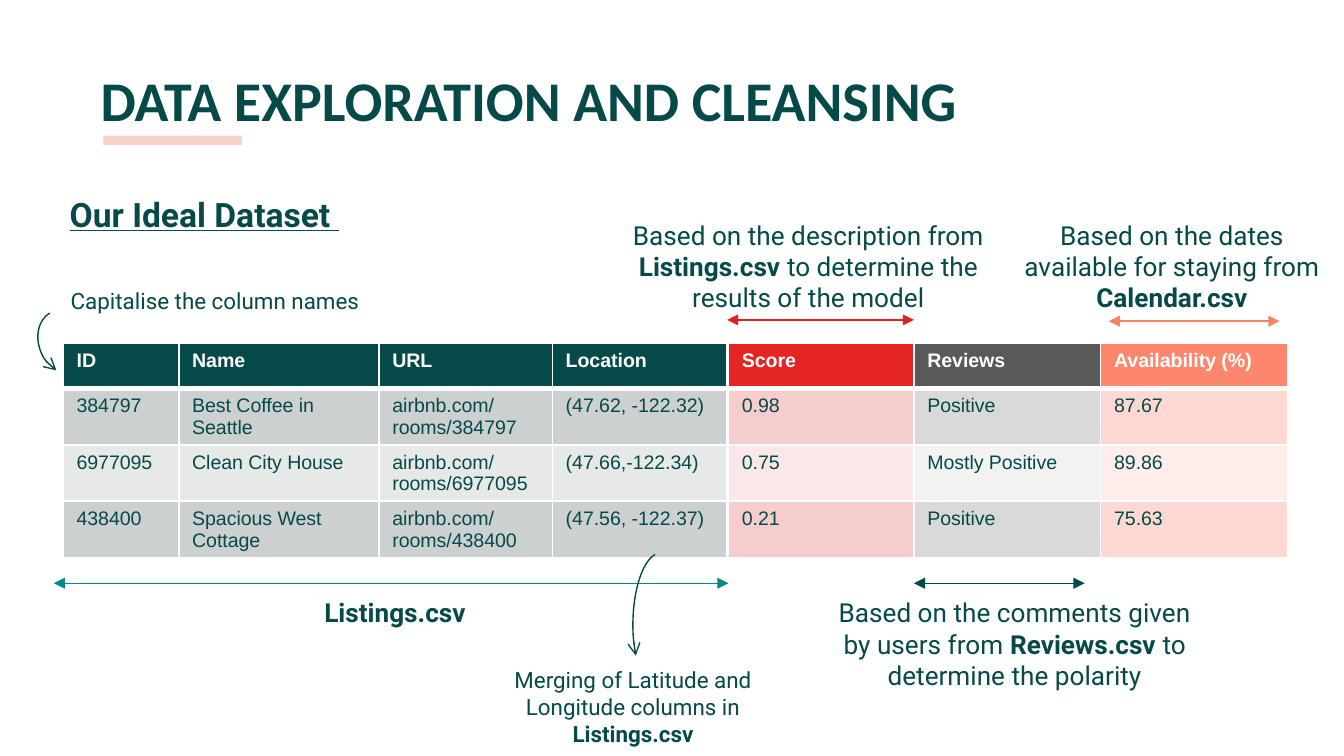
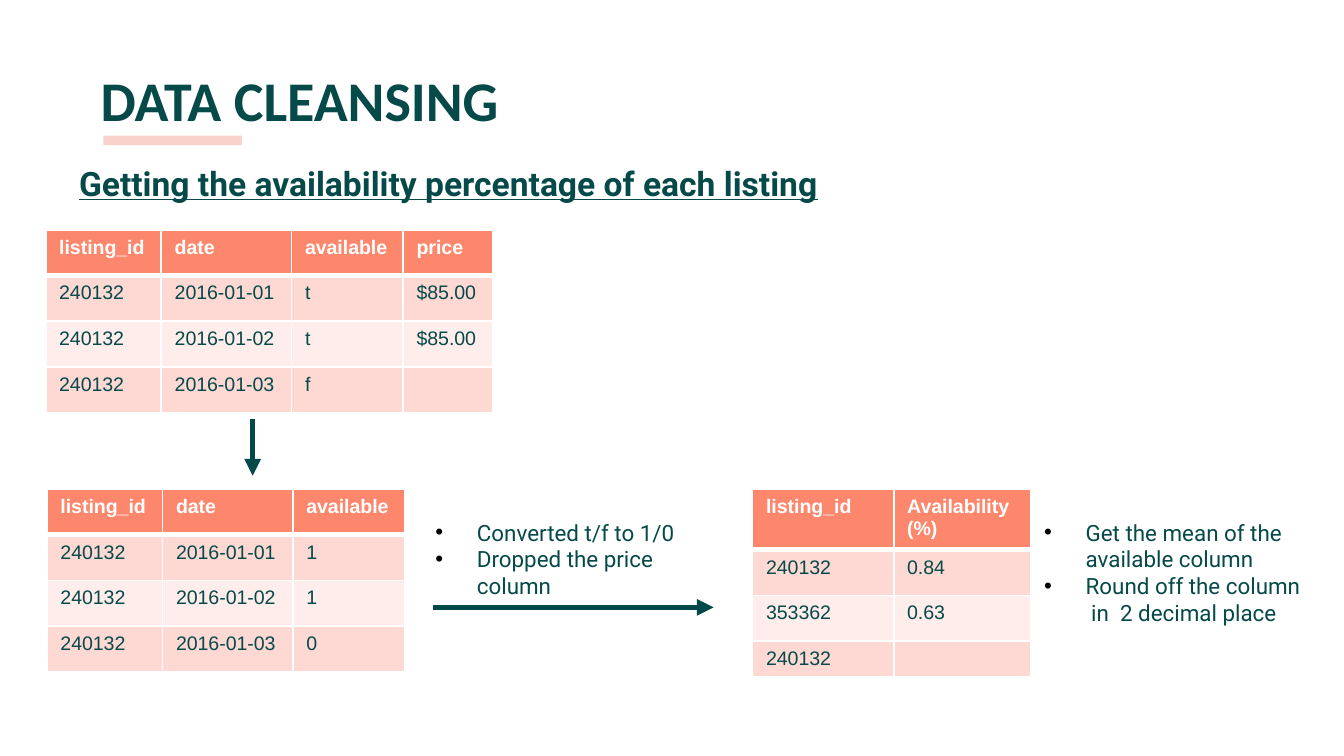
from lxml.etree import SubElement
from pptx import Presentation
from pptx.dml.color import RGBColor
from pptx.enum.shapes import MSO_CONNECTOR as CONN, MSO_SHAPE as SHAPE
from pptx.enum.text import MSO_ANCHOR as ANCHOR, PP_ALIGN as ALIGN
from pptx.oxml.ns import qn
from pptx.util import Inches, Pt

COLORS = {
    "ink": "064949", "line": "044949", "white": "FFFFFF", "black": "000000",
    "teal": "008A87", "red": "E4201F", "coral": "FB8266", "bar": "F4AA9E",
}
# header, odd row and even row fills of a table column
BANDS = {
    "green": ("064949", "CCD0D0", "E7E9E9"),
    "red": ("E42524", "F5CDCD", "FAE8E8"),
    "gray": ("595959", "D9D9D9", "F2F2F2"),
    "coral": ("FD876C", "FED9D4", "FFEDEB"),
}


def rgb(name):
    return RGBColor.from_string(COLORS.get(name, name))


def write(tf, text, size=12, font="Roboto", color="ink", bold=False,
          underline=False, align=ALIGN.LEFT, after=0, bullet=None):
    """Fill a text frame: a string per paragraph, ** switches bold, newline breaks."""
    paragraphs = [text] if isinstance(text, str) else text
    for i, line in enumerate(paragraphs):
        p = tf.paragraphs[0] if i == 0 else tf.add_paragraph()
        p.alignment = align
        p.space_after = Pt(after)
        if bullet:
            add_bullet(p, bullet)
        for j, part in enumerate(line.split("**")):
            for k, piece in enumerate(part.split("\n")):
                if k:
                    p.add_line_break()
                if not piece:
                    continue
                r = p.add_run()
                r.text = piece
                r.font.size, r.font.name = Pt(size), font
                r.font.bold = bold or j % 2 == 1
                r.font.underline = underline
                r.font.color.rgb = rgb(color)
        if not line:
            SubElement(p._p, qn("a:endParaRPr"), sz=str(int(size * 100)))


def add_bullet(p, char):
    pPr = p._p.get_or_add_pPr()
    indent = Inches(0.31)
    pPr.set("marL", str(indent))
    pPr.set("indent", str(-indent))
    clr = SubElement(pPr, qn("a:buClr"))
    SubElement(clr, qn("a:srgbClr"), val=COLORS["black"])
    SubElement(pPr, qn("a:buFont"), typeface="Arial")
    SubElement(pPr, qn("a:buChar"), char=char)


def set_borders(cell, bottom):
    """White borders, 1 pt wide except for the bottom one."""
    tcPr = cell._tc.get_or_add_tcPr()
    for tag, width in (("lnL", 1), ("lnR", 1), ("lnT", 1), ("lnB", bottom)):
        ln = SubElement(tcPr, qn(f"a:{tag}"), w=str(Pt(width)))
        fill = SubElement(ln, qn("a:solidFill"))
        SubElement(fill, qn("a:srgbClr"), val=COLORS["white"])


def set_arrowheads(sp, head=None, tail=None):
    ln = sp.line._get_or_add_ln()
    for tag, kind in (("headEnd", head), ("tailEnd", tail)):
        if kind:
            SubElement(ln, qn(f"a:{tag}"), type=kind)


class Deck:
    def __init__(self):
        self.prs = Presentation()
        self.prs.slide_width = Inches(10)
        self.prs.slide_height = Inches(10) * 9 // 16
        self.shapes = None

    def slide(self, title):
        self.shapes = self.prs.slides.add_slide(self.prs.slide_layouts[6]).shapes
        self.text(0.65, 0.39, 9.32, 0.63, title, size=30, font="Calibri", bold=True)
        sp = self.shapes.add_shape(SHAPE.RECTANGLE, Inches(0.77), Inches(1.01),
                                   Inches(1.03), Inches(0.07))
        sp.shadow.inherit = False
        sp.fill.solid()
        sp.fill.fore_color.rgb = rgb("bar")
        clr = sp.fill._xPr.find(".//" + qn("a:srgbClr"))
        SubElement(clr, qn("a:alpha"), val="52000")
        sp.line.fill.background()

    def text(self, x, y, w, h, text, inset=0.1, **fmt):
        tf = self.shapes.add_textbox(Inches(x), Inches(y), Inches(w), Inches(h)).text_frame
        tf.word_wrap = True
        tf.vertical_anchor = ANCHOR.TOP
        tf.margin_left = tf.margin_right = Inches(0.1)
        tf.margin_top = tf.margin_bottom = Inches(inset)
        write(tf, text, **fmt)

    def heading(self, x, y, w, text):
        self.text(x, y, w, 0.99, text, size=18, bold=True, underline=True, after=1)

    def note(self, x, y, w, h, text, size=14):
        self.text(x, y, w, h, text, size=size, align=ALIGN.CENTER, after=1)

    def bullets(self, x, y, w, h, items):
        self.text(x, y, w, h, items, inset=0.05, bullet="•")

    def table(self, x, y, widths, heights, rows, bands):
        """Draw rows, the first being the header; bands names a palette per column."""
        table = self.shapes.add_table(len(rows), len(widths), Inches(x), Inches(y),
                                      Inches(sum(widths)), Inches(sum(heights))).table
        for column, w in zip(table.columns, widths):
            column.width = Inches(w)
        for i, (row, h) in enumerate(zip(rows, heights)):
            table.rows[i].height = Inches(h)
            header = i == 0
            for j, value in enumerate(row):
                cell = table.cell(i, j)
                cell.margin_left = cell.margin_right = Inches(0.1)
                cell.margin_top, cell.margin_bottom = Inches(0.05), Inches(0.02)
                set_borders(cell, bottom=3 if header else 1)
                fills = BANDS[bands[j]]
                cell.fill.solid()
                cell.fill.fore_color.rgb = rgb(fills[0 if header else 2 - i % 2])
                write(cell.text_frame, value, size=10.5, font="Arial", bold=header,
                      color="white" if header else "ink")

    def arrow(self, x1, y1, x2, y2, color="line", width=0.75, head=None):
        sp = self.shapes.add_connector(CONN.STRAIGHT, Inches(x1), Inches(y1),
                                       Inches(x2), Inches(y2))
        sp.line.color.rgb = rgb(color)
        sp.line.width = Pt(width)
        set_arrowheads(sp, head, "triangle")
        SubElement(sp._element.spPr, qn("a:effectLst"))

    def span(self, x1, x2, y, color):
        self.arrow(x1, y, x2, y, color, head="triangle")

    def curve(self, x, y, w, h, rotation):
        sp = self.shapes.add_shape(SHAPE.ARC, Inches(x), Inches(y), Inches(w), Inches(h))
        sp.shadow.inherit = False
        sp.rotation = rotation
        sp.adjustments[0], sp.adjustments[1] = 131.82, 212.7
        sp.fill.background()
        sp.line.color.rgb = rgb("line")
        sp.line.width = Pt(0.75)
        set_arrowheads(sp, head="arrow")


def exploration(deck):
    deck.slide("DATA EXPLORATION AND CLEANSING")
    deck.heading(0.42, 1.34, 2.62, "Our Ideal Dataset ")

    heights = [0.34] + [0.42] * 3
    deck.table(5.42, 2.55, [1.38], heights,
               [["Score"], ["0.98"], ["0.75"], ["0.21"]], ["red"])
    deck.table(0.47, 2.55, [0.86, 1.49, 1.29, 1.3], heights, [
        ["ID", "Name", "URL", "Location"],
        ["384797", "Best Coffee in Seattle", "airbnb.com/\nrooms/384797", "(47.62, -122.32)"],
        ["6977095", "Clean City House", "airbnb.com/\nrooms/6977095", "(47.66,-122.34)"],
        ["438400", "Spacious West Cottage", "airbnb.com/\nrooms/438400", "(47.56, -122.37)"],
    ], ["green"] * 4)
    deck.table(6.8, 2.55, [1.39, 1.39], heights, [
        ["Reviews", "Availability (%)"],
        ["Positive", "87.67"],
        ["Mostly Positive", "89.86"],
        ["Positive", "75.63"],
    ], ["gray", "coral"])

    deck.note(1.63, 4.34, 2.62, 0.37, "**Listings.csv**")
    deck.span(0.4, 5.42, 4.34, "teal")
    deck.note(7.41, 1.53, 2.62, 1.68,
              "Based on the dates available for staying from **Calendar.csv**")
    deck.span(5.41, 6.8, 2.38, "red")
    deck.span(8.25, 9.52, 2.39, "coral")
    deck.span(6.8, 8.07, 4.34, "line")
    deck.note(6.1, 4.34, 2.9, 0.99, "Based on the comments given by users from "
              "**Reviews.csv **to determine the polarity")
    deck.note(4.36, 1.53, 3.31, 0.94, "Based on the description from "
              "**Listings.csv **to determine the results of the model")

    deck.curve(4.39, 4.43, 1.07, 0.43, 270)
    deck.note(3.4, 4.86, 2.62, 0.47,
              "Merging of Latitude and Longitude columns in **Listings.csv**", size=12)
    deck.curve(0.24, 2.35, 0.49, 0.39, 247.6)
    deck.note(0.29, 2.04, 2.62, 0.47, "Capitalise the column names", size=12)


def cleansing(deck):
    deck.slide("DATA CLEANSING")

    heights = [0.34] * 4
    listing = "240132"
    dates = ["2016-01-01", "2016-01-02", "2016-01-03"]
    header = ["listing_id", "date", "available"]
    widths = [0.86, 0.97, 0.83]
    raw = zip(dates, "ttf", ["$85.00", "$85.00", ""])
    deck.table(0.34, 1.71, widths + [0.67], heights,
               [header + ["price"]] + [[listing, *values] for values in raw], ["coral"] * 4)
    deck.arrow(1.88, 3.12, 1.88, 3.54, width=3)
    deck.bullets(3.14, 3.81, 2.08, 1.18,
                 ["Converted t/f to 1/0", "Dropped the price column"])
    deck.heading(0.49, 1.11, 6.24, "Getting the availability percentage of each listing")
    deck.arrow(3.22, 4.52, 5.31, 4.52, width=3)
    deck.table(0.35, 3.64, widths, heights,
               [header] + [[listing, *values] for values in zip(dates, "110")], ["coral"] * 3)
    deck.table(5.6, 3.64, [1.05, 1.02], [0.45, 0.34, 0.34, 0.27], [
        ["listing_id", "Availability (%)"],
        [listing, "0.84"],
        ["353362", "0.63"],
        [listing, ""],
    ], ["coral"] * 2)
    deck.bullets(7.67, 3.81, 2.34, 0.91,
                 ["Get the mean of the available column",
                  "Round off the column\n in  2 decimal place"])


def main():
    deck = Deck()
    exploration(deck)
    cleansing(deck)
    deck.prs.save("out.pptx")


if __name__ == "__main__":
    main()
